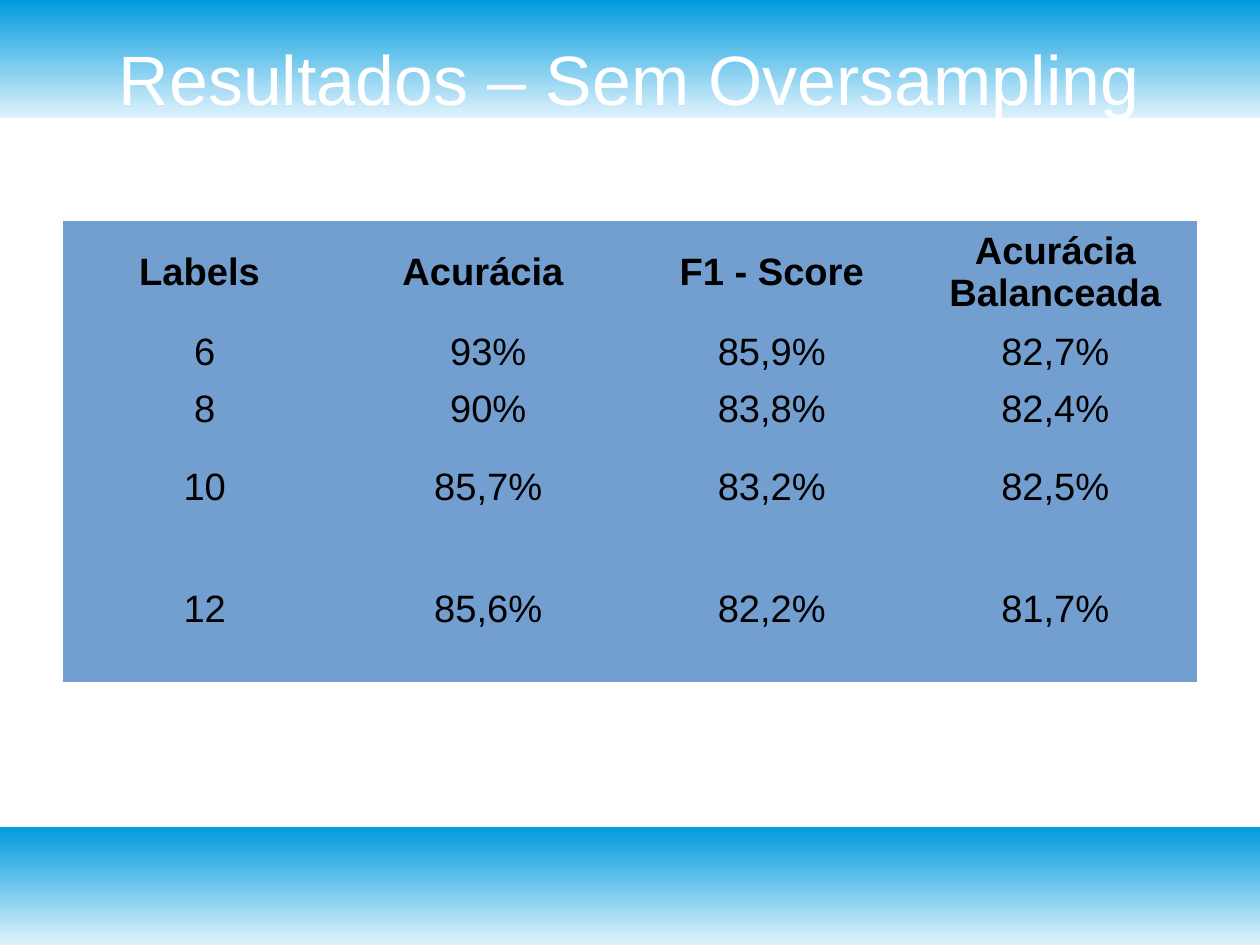
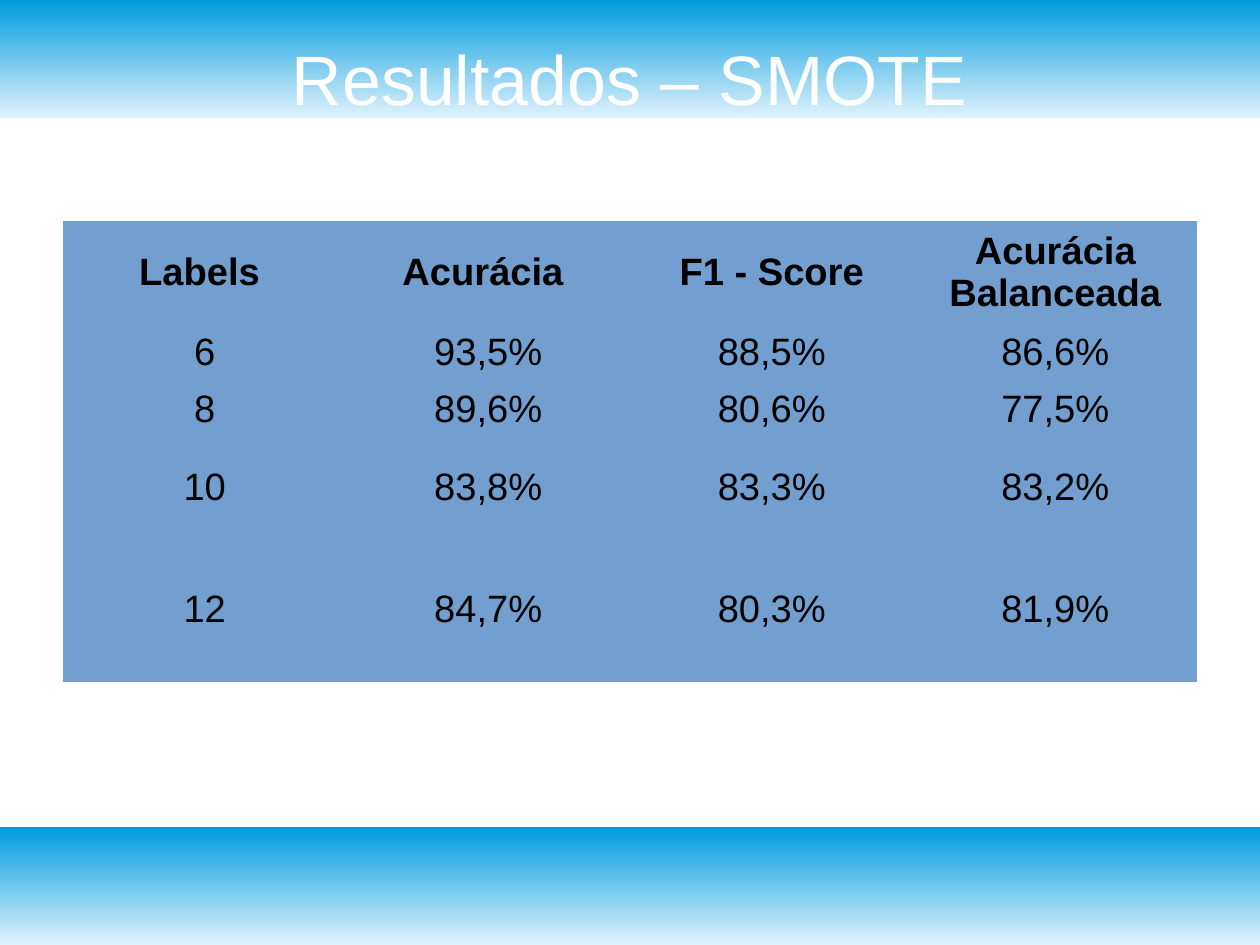
from pptx import Presentation
from pptx.dml.color import RGBColor
from pptx.enum.shapes import MSO_SHAPE
from pptx.enum.text import MSO_ANCHOR, PP_ALIGN
from pptx.oxml.ns import qn
from pptx.util import Pt

RECT = MSO_SHAPE.RECTANGLE
MIDDLE = MSO_ANCHOR.MIDDLE
CENTER = PP_ALIGN.CENTER

HEAD = ("Labels ", "Acurácia ", "F1 - Score", "Acurácia Balanceada")
SLIDES = [
    ("Resultados – Sem Oversampling", [
        ("6", "93%", "85,9%", "82,7%"),
        ("8", "90%", "83,8%", "82,4%"),
        ("10", "85,7%", "83,2%", "82,5%"),
        ("12", "85,6%", "82,2%", "81,7%"),
    ]),
    ("Resultados – SMOTE", [
        ("6", "93,5%", "88,5%", "86,6%"),
        ("8", "89,6%", "80,6%", "77,5%"),
        ("10", "83,8%", "83,3%", "83,2%"),
        ("12", "84,7%", "80,3%", "81,9%"),
    ]),
]

THEME = {
    "band": ("DFF2FC", "009BDD"),
    "cell": "729FCF",
    "title": {"size": 44, "color": "FFFFFF", "bold": False},
    "head": {"size": 24, "color": "000000", "bold": True},
    "body": {"size": 24, "color": "000000", "bold": False},
    "font": "Arial",
    "grid": "{2D5ABB26-0587-4C30-8999-92F81FD0307C}",
}

SCALE = 8000
WIDE, HIGH = 1260, 945
BAND = 118
EDGE = 63
INNER = WIDE - 2 * EDGE
TITLE_TOP, TABLE_TOP = 38, 221
ROWS = (98, 54, 54, 98, 146)


def px(*sizes):
    return [size * SCALE for size in sizes]


def rgb(code):
    return RGBColor.from_string(code)


def write(frame, text, style):
    """Put one centred line of themed text in a text frame."""
    line = frame.paragraphs[0]
    line.alignment = CENTER
    run = line.add_run()
    run.text = text
    form = {"name": THEME["font"], "size": Pt(style["size"]),
            "bold": style["bold"]}
    for key, value in form.items():
        setattr(run.font, key, value)
    run.font.color.rgb = rgb(style["color"])


def add_band(slide, top):
    band = slide.shapes.add_shape(RECT, *px(0, top, WIDE, BAND))
    band.shadow.inherit = False
    band.line.fill.background()
    band.fill.gradient()
    band.fill.gradient_angle = 90
    for stop, code in zip(band.fill.gradient_stops, THEME["band"]):
        stop.color.rgb = rgb(code)


def add_title(slide, text):
    box = slide.shapes.add_textbox(
        *px(EDGE, TITLE_TOP, INNER, BAND - TITLE_TOP))
    form = {"word_wrap": True, "vertical_anchor": MIDDLE,
            "margin_left": 0, "margin_right": 0,
            "margin_top": 0, "margin_bottom": 0}
    for key, value in form.items():
        setattr(box.text_frame, key, value)
    write(box.text_frame, text, THEME["title"])


def add_grid(slide, rows):
    """Add the table of scores, with no borders and one fill."""
    table = slide.shapes.add_table(
        len(rows), len(HEAD),
        *px(EDGE, TABLE_TOP, INNER, sum(ROWS))).table
    table.horz_banding = False
    table._tbl.tblPr.find(qn("a:tableStyleId")).text = THEME["grid"]
    for row, high in zip(table.rows, ROWS):
        row.height = high * SCALE
    for r, texts in enumerate(rows):
        style = THEME["body" if r else "head"]
        for c, text in enumerate(texts):
            cell = table.cell(r, c)
            cell.vertical_anchor = MIDDLE
            cell.fill.solid()
            cell.fill.fore_color.rgb = rgb(THEME["cell"])
            write(cell.text_frame, text, style)


def main():
    deck = Presentation()
    deck.slide_width, deck.slide_height = px(WIDE, HIGH)
    blank = deck.slide_layouts[6]
    for title, scores in SLIDES:
        slide = deck.slides.add_slide(blank)
        for top in (0, HIGH - BAND):
            add_band(slide, top)
        add_title(slide, title)
        add_grid(slide, [HEAD, *scores])
    deck.save("out.pptx")


if __name__ == "__main__":
    main()
